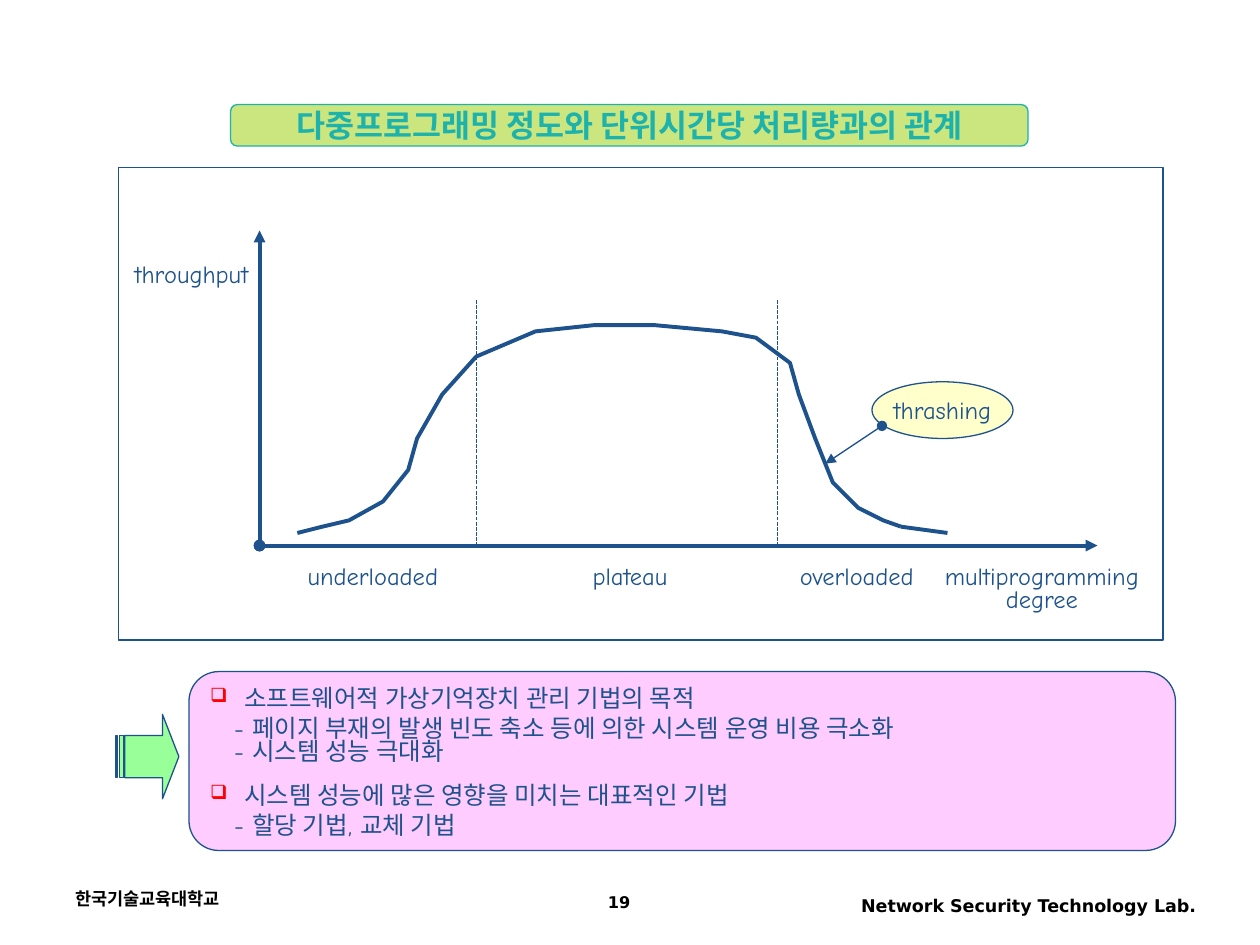
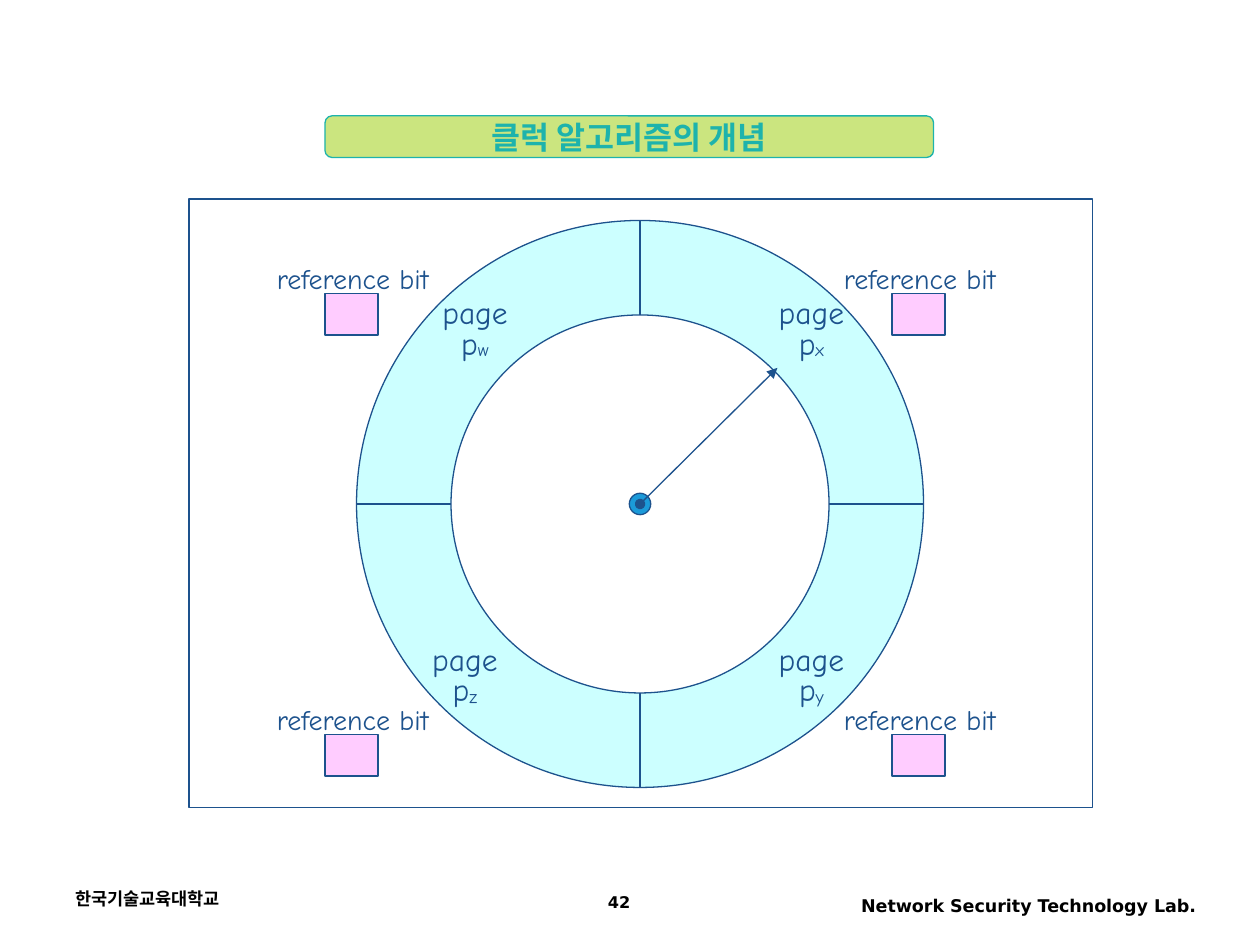
import pptx
import pptx.util
import pptx.dml.color
import pptx.enum.dml
import pptx.enum.shapes
import pptx.enum.text
import pptx.oxml.ns
from lxml import etree

Inches, Pt = pptx.util.Inches, pptx.util.Pt
SHAPE = pptx.enum.shapes.MSO_SHAPE
ALIGN = pptx.enum.text.PP_ALIGN
ANCHOR = pptx.enum.text.MSO_ANCHOR
qn = pptx.oxml.ns.qn

COLORS = {
    "ink": "1D528D", "title": "1DB3AC", "title_fill": "99CC00",
    "white": "FFFFFF", "black": "000000", "pink": "FFCCFF",
    "ring": "CCFFFF", "hub": "1B9AD9", "callout": "FFFFCC",
    "arrow": "99FF99", "bullet": "FF0000",
}
BODY_FONT, TITLE_FONT, FOOTER_FONT = "Comic Neue", "Arial Narrow", "DejaVu Sans"
THIN, THICK = 0.75, 2.25


def rgb(name):
    return pptx.dml.color.RGBColor.from_string(COLORS[name])


def add_run(paragraph, text, size, font=BODY_FONT, color="ink", bold=False):
    run = paragraph.add_run()
    run.text = text
    run.font.size = Pt(size)
    run.font.name = font
    run.font.bold = bold
    run.font.color.rgb = rgb(color)
    return run


def paint(shape, fill, line="ink", width=THIN):
    """Set fill and outline; a fill of None leaves the shape open."""
    shape.shadow.inherit = False
    if fill:
        shape.fill.solid()
        shape.fill.fore_color.rgb = rgb(fill)
    else:
        shape.fill.background()
    shape.line.color.rgb = rgb(line)
    shape.line.width = Pt(width)
    return shape


def add_box(shapes, kind, left, top, width, height, fill, line="ink"):
    shape = shapes.add_shape(kind, Inches(left), Inches(top), Inches(width), Inches(height))
    return paint(shape, fill, line)


def add_circle(shapes, center_x, center_y, radius, fill):
    return add_box(shapes, SHAPE.OVAL, center_x - radius, center_y - radius,
                   2 * radius, 2 * radius, fill)


def add_line(shapes, start, end, width=THIN, arrow=False):
    """Draw a line; an arrow starts with a dot and ends with a triangle."""
    connector = shapes.add_connector(
        pptx.enum.shapes.MSO_CONNECTOR.STRAIGHT, *(Inches(value) for value in (*start, *end)))
    connector.line.color.rgb = rgb("ink")
    connector.line.width = Pt(width)
    if arrow:
        line = connector.line._get_or_add_ln()
        etree.SubElement(line, qn("a:headEnd"), type="oval")
        etree.SubElement(line, qn("a:tailEnd"), type="triangle")
    etree.SubElement(connector._element.spPr, qn("a:effectLst"))
    return connector


def add_freeform(shapes, outlines, fill, closed, width=THIN):
    """Draw outlines given in inches; the builder keeps whole units only, so it works in EMU."""
    first, *others = [[(Inches(x), Inches(y)) for x, y in outline] for outline in outlines]
    builder = shapes.build_freeform(*first[0])
    builder.add_line_segments(first[1:], close=closed)
    for outline in others:
        builder.move_to(*outline[0])
        builder.add_line_segments(outline[1:], close=closed)
    return paint(builder.convert_to_shape(), fill, width=width)


def add_text_box(shapes, left, top, width, height, wrap):
    box = shapes.add_textbox(Inches(left), Inches(top), Inches(width), Inches(height))
    box.text_frame.word_wrap = wrap
    return box.text_frame


def add_label(shapes, center_x, top, width, lines, size, subscript=None):
    """Centred label with tight lines; the subscript follows the last line."""
    height = 0.1 + 0.017 * size * (1 + 0.8 * (len(lines) - 1))
    frame = add_text_box(shapes, center_x - width / 2, top, width, height, wrap=False)
    for index, text in enumerate(lines):
        paragraph = frame.add_paragraph() if index else frame.paragraphs[0]
        paragraph.alignment = ALIGN.CENTER
        if index:
            paragraph.line_spacing = 0.8
        add_run(paragraph, text, size)
    if subscript:
        run = add_run(paragraph, subscript, size)
        run.font._element.set("baseline", "-4000")


def add_footer(slide, number):
    items = (
        (0.5, 7, 2.33, 0.33, ALIGN.LEFT, 10, "한국기술교육대학교"),
        (6.42, 7.05, 3.17, 0.32, ALIGN.RIGHT, 10, "Network Security Technology Lab."),
        (3.75, 7.05, 2.33, 0.28, ALIGN.CENTER, 9.2, str(number)),
    )
    for left, top, width, height, alignment, size, text in items:
        frame = add_text_box(slide.shapes, left, top, width, height, wrap=True)
        paragraph = frame.paragraphs[0]
        paragraph.alignment = alignment
        if alignment == ALIGN.CENTER:
            paragraph.line_spacing = 0.9
        add_run(paragraph, text, size, FOOTER_FONT, "black", bold=True)


def add_title(slide, left, top, width, text, font):
    band = add_box(slide.shapes, SHAPE.FLOWCHART_ALTERNATE_PROCESS, left, top, width, 0.33,
                   "title_fill", "title")
    color = band.fill._xPr.find(qn("a:solidFill"))[0]
    etree.SubElement(color, qn("a:alpha"), val="50000")
    frame = band.text_frame
    frame.word_wrap = False
    frame.vertical_anchor = ANCHOR.MIDDLE
    paragraph = frame.paragraphs[0]
    paragraph.alignment = ALIGN.CENTER
    add_run(paragraph, text, 18, font, "title", bold=True)


def add_throughput_graph(slide, left, top, width, height):
    shapes = slide.shapes.add_group_shape().shapes
    add_box(shapes, SHAPE.RECTANGLE, left, top, width, height, "white")
    origin_x, origin_y = left + 1.12, top + 3

    def at(x, y):
        """Point on the slide for a distance right of and above the origin."""
        return origin_x + x, origin_y - y

    for axis_end in (at(0, 2.5), at(6.65, 0)):
        add_line(shapes, at(0, 0), axis_end, THICK, arrow=True)

    curve = [(0.3, 0.1), (0.5, 0.15), (0.71, 0.2), (0.98, 0.35), (1.18, 0.6),
             (1.25, 0.85), (1.45, 1.2), (1.72, 1.5), (2.19, 1.7), (2.66, 1.75),
             (3.13, 1.75), (3.67, 1.7), (3.94, 1.65), (4.21, 1.45), (4.28, 1.2),
             (4.41, 0.85), (4.55, 0.5), (4.75, 0.3), (4.95, 0.2), (5.09, 0.15)]
    add_freeform(shapes, [[at(*point) for point in curve]], None, closed=False, width=THICK)
    add_line(shapes, at(*curve[-1]), at(5.46, 0.1), THICK)

    for x in (1.72, 4.11):
        divider = add_line(shapes, at(x, 1.95), at(x, 0))
        divider.line.dash_style = pptx.enum.dml.MSO_LINE.SQUARE_DOT

    labels = (
        (-0.54, 2.32, 1.15, ["throughput"]),
        (0.9, -0.07, 1.3, ["underloaded"]),
        (2.94, -0.07, 0.85, ["plateau"]),
        (4.74, -0.07, 1.15, ["overloaded"]),
        (6.21, -0.07, 1.8, ["multiprogramming", "degree"]),
    )
    for x, y, label_width, lines in labels:
        add_label(shapes, *at(x, y), label_width, lines, 14)

    callout = add_box(shapes, SHAPE.OVAL, *at(4.86, 1.3), 1.12, 0.45, "callout")
    frame = callout.text_frame
    frame.word_wrap = False
    frame.vertical_anchor = ANCHOR.MIDDLE
    frame.paragraphs[0].alignment = ALIGN.CENTER
    add_run(frame.paragraphs[0], "thrashing", 14)
    add_line(shapes, at(4.94, 0.95), at(4.49, 0.65), arrow=True)


def set_indent(paragraph, margin, bulleted):
    properties = paragraph._p.get_or_add_pPr()
    properties.set("marL", str(Inches(margin)))
    properties.set("indent", str(-Inches(margin) if bulleted else 0))
    if bulleted:
        color = etree.SubElement(properties, qn("a:buClr"))
        etree.SubElement(color, qn("a:srgbClr"), val=COLORS["bullet"])
        etree.SubElement(properties, qn("a:buSzPct"), val="80000")
        etree.SubElement(properties, qn("a:buChar"), char="❑")


def add_summary(slide, left, top, width, height):
    panel = add_box(slide.shapes, SHAPE.FLOWCHART_ALTERNATE_PROCESS, left, top, width, height,
                    "pink")
    frame = panel.text_frame
    frame.word_wrap = True
    frame.vertical_anchor = ANCHOR.MIDDLE
    lines = (
        (True, 1, "소프트웨어적 가상기억장치 관리 기법의 목적"),
        (False, 1, "- 페이지 부재의 발생 빈도 축소 등에 의한 시스템 운영 비용 극소화"),
        (False, 0.8, "- 시스템 성능 극대화"),
        (True, 1.5, "시스템 성능에 많은 영향을 미치는 대표적인 기법"),
        (False, 1, "- 할당 기법, 교체 기법"),
    )
    for index, (bulleted, spacing, text) in enumerate(lines):
        paragraph = frame.add_paragraph() if index else frame.paragraphs[0]
        paragraph.alignment = ALIGN.LEFT
        paragraph.line_spacing = spacing
        set_indent(paragraph, 0.27 if bulleted else 0.19, bulleted)
        add_run(paragraph, text, 14)


def add_striped_arrow(slide, left, top, width, height):
    upper, lower = top + height / 4, top + height * 3 / 4
    neck, right = left + 0.37, left + width
    head = [(neck, top), (neck, upper), (left + 0.07, upper), (left + 0.07, lower),
            (neck, lower), (neck, top + height), (right, top + height / 2)]
    stripes = [[(left + start, upper), (left + start, lower), (left + end, lower),
                (left + end, upper)] for start, end in ((0.03, 0.06), (0, 0.01))]
    add_freeform(slide.shapes, [head, *stripes], "arrow", closed=True)


def add_clock(slide, left, top, width, height):
    shapes = slide.shapes
    add_box(shapes, SHAPE.RECTANGLE, left, top, width, height, "white")
    center_x, center_y = left + 3.58, top + 2.42
    outer, inner = 2.25, 1.5
    add_circle(shapes, center_x, center_y, outer, "ring")
    add_circle(shapes, center_x, center_y, inner, "white")
    for x, y in ((1, 0), (0, -1), (0, 1), (-1, 0)):
        add_line(shapes, (center_x + x * outer, center_y + y * outer),
                 (center_x + x * inner, center_y + y * inner))
    add_circle(shapes, center_x, center_y, 0.085, "hub")
    add_line(shapes, (center_x, center_y), (center_x + 1.09, center_y - 1.08), arrow=True)

    for name, x, y in (("x", 1.36, -1.72), ("y", 1.36, 1.03),
                       ("z", -1.39, 1.03), ("w", -1.31, -1.72)):
        add_label(shapes, center_x + x, center_y + y, 0.72, ["page", "p"], 18, name)

    for x in (2.21, -2.29):
        for y in (-1.67, 1.83):
            add_box(shapes, SHAPE.RECTANGLE, center_x + x - 0.21, center_y + y, 0.42, 0.33,
                    "pink")
            add_label(shapes, center_x + x + 0.01, center_y + y - 0.3, 1.42,
                      ["reference bit"], 16)


def add_slide(presentation, number):
    slide = presentation.slides.add_slide(presentation.slide_layouts[6])
    add_footer(slide, number)
    return slide


def main():
    presentation = pptx.Presentation()
    presentation.slide_width, presentation.slide_height = Inches(10), Inches(7.5)

    slide = add_slide(presentation, 19)
    add_throughput_graph(slide, 0.94, 1.33, 8.29, 3.75)
    add_title(slide, 1.83, 0.83, 6.33, "다중프로그래밍 정도와 단위시간당 처리량과의 관계", TITLE_FONT)
    add_summary(slide, 1.5, 5.33, 7.83, 1.42)
    add_striped_arrow(slide, 0.92, 5.67, 0.5, 0.67)

    slide = add_slide(presentation, 42)
    add_clock(slide, 1.5, 1.58, 7.17, 4.83)
    add_title(slide, 2.58, 0.92, 4.83, "클럭 알고리즘의 개념", BODY_FONT)

    presentation.save("out.pptx")


if __name__ == "__main__":
    main()
